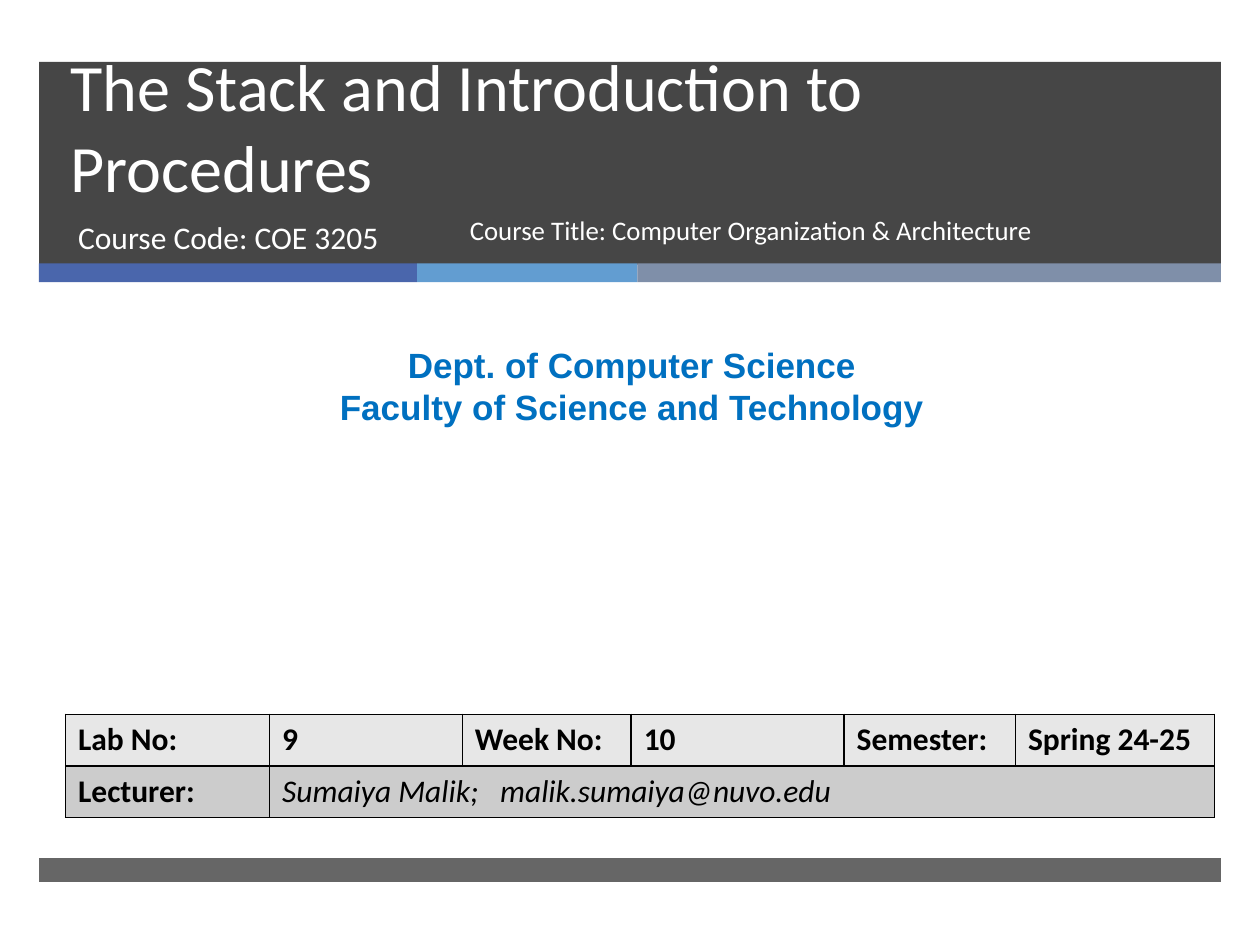
from lxml import etree
from pptx import Presentation
from pptx.dml.color import RGBColor
from pptx.enum.shapes import MSO_SHAPE
from pptx.enum.text import MSO_ANCHOR, MSO_AUTO_SIZE, PP_ALIGN
from pptx.oxml.ns import qn
from pptx.util import Inches, Pt

RECT = MSO_SHAPE.RECTANGLE
TOP, BOTTOM = MSO_ANCHOR.TOP, MSO_ANCHOR.BOTTOM
LEFT, CENTER = PP_ALIGN.LEFT, PP_ALIGN.CENTER
NO_FIT = MSO_AUTO_SIZE.NONE

COLORS = {
    "dark": "262626", "blue": "4A66AC", "sky": "629DD1", "slate": "7F8FA9",
    "white": "FFFFFF", "black": "000000", "dept": "0070C0",
    "row1": "E7E7E7", "row2": "CCCCCC",
}


def color(name):
    return RGBColor.from_string(COLORS[name])


def add_bar(slide, box, fill, opacity=100):
    sp = slide.shapes.add_shape(RECT, *map(Inches, box))
    sp.shadow.inherit = False
    sp.fill.solid()
    sp.fill.fore_color.rgb = color(fill)
    sp.line.fill.background()
    if opacity < 100:
        clr = sp._element.spPr.find(qn("a:solidFill"))[0]
        etree.SubElement(clr, qn("a:alpha"), val=str(opacity * 1000))


def style(p, size, fill, font="Calibri", bold=False, italic=False):
    f = p.font
    f.name, f.size, f.bold, f.italic = font, Pt(size), bold, italic
    f.color.rgb = color(fill)


def set_text(sp, box, lines, size, fill, font="Calibri", bold=False,
             align=LEFT, anchor=TOP, spacing=1.0):
    """Place a text shape in its box and write one paragraph per line."""
    sp.left, sp.top, sp.width, sp.height = map(Inches, box)
    tf = sp.text_frame
    tf.word_wrap, tf.auto_size, tf.vertical_anchor = True, NO_FIT, anchor
    tf.text = "\n".join(lines)
    for p in tf.paragraphs:
        p.alignment, p.line_spacing, p.space_before = align, spacing, Pt(0)
        style(p, size, fill, font, bold)


def add_text(slide, box, *args, **kwargs):
    sp = slide.shapes.add_textbox(*map(Inches, box))
    set_text(sp, box, *args, **kwargs)


def add_header(slide, left, top, width, height):
    """Dark panel with title and course details above a three-colour strip."""
    add_bar(slide, (left, top, width, height), "dark", 85)
    x = left
    for w, fill in ((3, "blue"), (1.75, "sky"), (width - 4.75, "slate")):
        add_bar(slide, (x, top + height - 0.01, w, 0.15), fill)
        x += w

    title, subtitle = slide.shapes.title, slide.placeholders[1]
    for sp in (title, subtitle):
        slide.shapes._spTree.append(sp._element)  # bring in front of the panel
    set_text(title, (left + 0.15, top, 8.54, 1.19),
             ["The Stack and Introduction to Procedures"], 37.8, "white",
             anchor=BOTTOM, spacing=Pt(46))
    details_top = top + 1.19
    set_text(subtitle, (left + 0.21, details_top, 3.05, 0.53),
             ["Course Code: COE 3205"], 18, "white")
    add_text(slide, (left + 3.32, details_top, 4.69, 0.53),
             ["Course Title: Computer Organization & Architecture"],
             15.3, "white", spacing=0.9)


def set_borders(cell):
    tc_pr = cell._tc.get_or_add_tcPr()
    for side in ("lnL", "lnR", "lnT", "lnB"):
        ln = etree.SubElement(tc_pr, qn(f"a:{side}"), w=str(Pt(1)))
        fill = etree.SubElement(ln, qn("a:solidFill"))
        etree.SubElement(fill, qn("a:srgbClr"), val=COLORS["black"])


def add_tab_stop(p, position):
    tabs = etree.SubElement(p._p.get_or_add_pPr(), qn("a:tabLst"))
    etree.SubElement(tabs, qn("a:tab"), pos=str(Inches(position)), algn="l")


def add_lab_table(slide, left, top, col_widths, row_height):
    rows = [
        ["Lab No:", "9", "Week No:", "10", "Semester:", "Spring 24-25"],
        ["Lecturer:", "Sumaiya Malik;\tmalik.sumaiya@nuvo.edu"],
    ]
    n_cols = len(col_widths)
    box = (left, top, sum(col_widths), row_height * len(rows))
    table = slide.shapes.add_table(len(rows), n_cols, *map(Inches, box)).table
    for col, w in zip(table.columns, col_widths):
        col.width = Inches(w)
    for r, fill in enumerate(("row1", "row2")):
        table.rows[r].height = Inches(row_height)
        for c in range(n_cols):
            cell = table.cell(r, c)
            set_borders(cell)
            cell.fill.solid()
            cell.fill.fore_color.rgb = color(fill)
        for c, text in enumerate(rows[r]):
            p = table.cell(r, c).text_frame.paragraphs[0]
            lecturer = (r, c) == (1, 1)
            if lecturer:
                add_tab_stop(p, 1.73)
            p.add_run().text = text
            style(p, 18, "black", bold=not lecturer, italic=lecturer)
    table.cell(1, 1).merge(table.cell(1, n_cols - 1))


def main():
    prs = Presentation()
    prs.slide_width, prs.slide_height = Inches(10), Inches(7.5)
    slide = prs.slides.add_slide(prs.slide_layouts[0])
    left, width = 0.31, 9.38
    add_header(slide, left, 0.49, width, 1.61)
    add_bar(slide, (left, 6.81, width, 0.19), "dark", 70)
    add_text(slide, (0.08, 2.68, 9.87, 0.77),
             ["Dept. of Computer Science", "Faculty of Science and Technology"],
             20, "dept", font="Arial", bold=True, align=CENTER)
    add_lab_table(slide, 0.52, 5.67, [1.62, 1.53, 1.34, 1.69, 1.36, 1.58], 0.41)
    prs.save("out.pptx")


if __name__ == "__main__":
    main()
